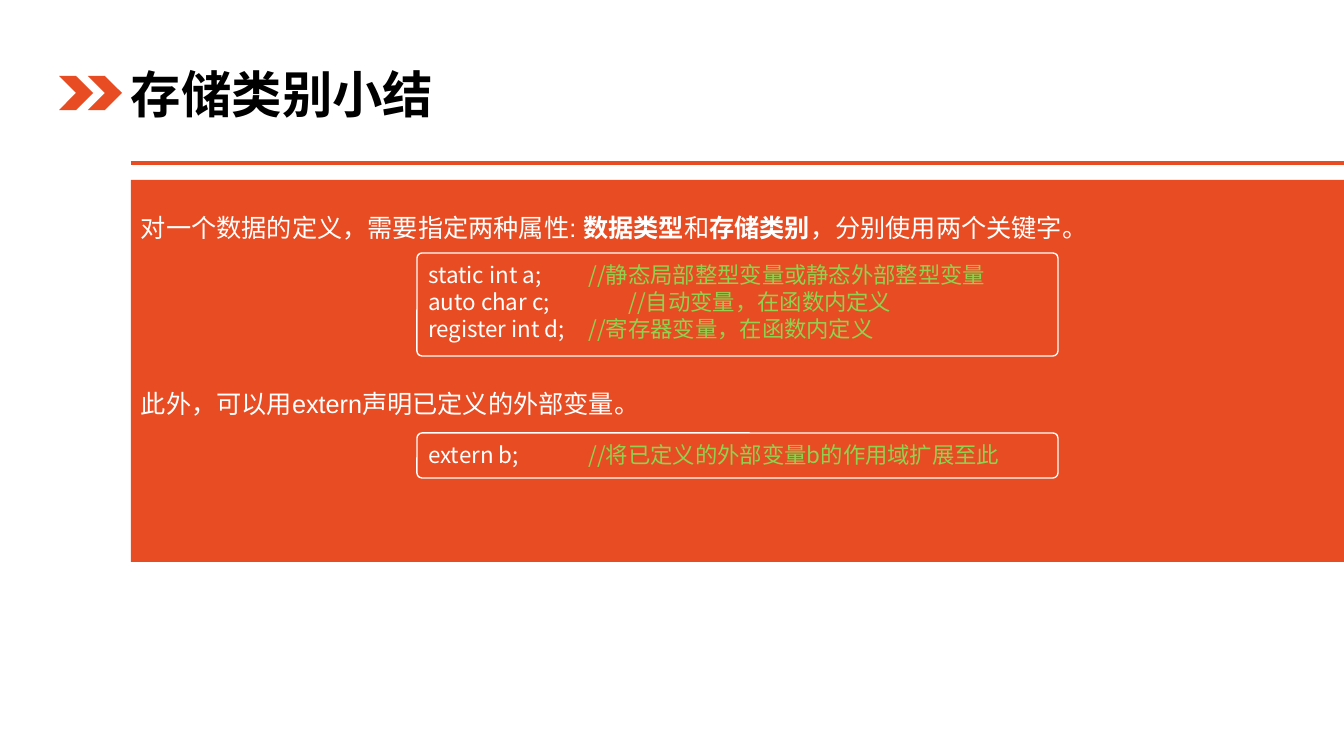
from dataclasses import dataclass

from lxml import etree
from pptx import Presentation
from pptx.dml.color import RGBColor
from pptx.enum.shapes import MSO_CONNECTOR, MSO_SHAPE
from pptx.enum.text import MSO_ANCHOR, PP_ALIGN
from pptx.oxml.ns import qn
from pptx.util import Emu, Pt

RECTANGLE = MSO_SHAPE.RECTANGLE
ROUNDED = MSO_SHAPE.ROUNDED_RECTANGLE
CHEVRON = MSO_SHAPE.CHEVRON
STRAIGHT = MSO_CONNECTOR.STRAIGHT
TOP, MIDDLE = MSO_ANCHOR.TOP, MSO_ANCHOR.MIDDLE
LEFT = PP_ALIGN.LEFT

EMU_PER_PX = 914400 / 100.8
ORANGE, WHITE, BLACK, GREEN = "E84C22", "FFFFFF", "000000", "92D050"
BODY_FONT, CODE_FONT = "Arial", "Noto Sans CJK SC"
SLIDE_WIDTH, SLIDE_HEIGHT = 1344, 756
CONTENT_LEFT = 131
CODE_LEFT, CODE_WIDTH = 417, 641
CODE_RADIUS = 5


@dataclass(frozen=True)
class CodeLine:
    code: str
    comment: str
    tab: int = 160


@dataclass(frozen=True)
class CodeBox:
    top: int
    height: int
    lines: tuple[CodeLine, ...]


CODE_BOXES = (
    CodeBox(253, 103, (
        CodeLine("static int a;", "//静态局部整型变量或静态外部整型变量"),
        CodeLine("auto char c;", "//自动变量，在函数内定义", 200),
        CodeLine("register int d;", "//寄存器变量，在函数内定义"),
    )),
    CodeBox(433, 45, (
        CodeLine("extern b;", "//将已定义的外部变量b的作用域扩展至此"),
    )),
)
STATEMENTS = (
    (("对一个数据的定义，需要指定两种属性: ", False), ("数据类型", True), ("和", False),
     ("存储类别", True), ("，分别使用两个关键字。", False)),
    (("此外，可以用extern声明已定义的外部变量。", False),),
)


def px(length: int) -> Emu:
    """Turn pixels into EMU."""
    return Emu(round(length * EMU_PER_PX))


def color(value: str) -> RGBColor:
    """Turn a hex string into a colour."""
    return RGBColor.from_string(value)


def add_box(slide, kind, left: int, top: int, width: int, height: int,
            fill: str | None = None, line: str | None = None):
    """Add a preset shape with an optional fill and outline."""
    shape = slide.shapes.add_shape(kind, px(left), px(top), px(width), px(height))
    shape.shadow.inherit = False
    if fill:
        shape.fill.solid()
        shape.fill.fore_color.rgb = color(fill)
    else:
        shape.fill.background()
    if line:
        shape.line.color.rgb = color(line)
        shape.line.width = Pt(1)
    else:
        shape.line.fill.background()
    return shape


def set_frame(shape, anchor, top_margin: int):
    """Set wrapping, anchor and top margin, and return the text frame."""
    frame = shape.text_frame
    frame.word_wrap = True
    frame.vertical_anchor = anchor
    frame.margin_top = px(top_margin)
    return frame


def next_paragraph(frame, index: int):
    """Return the first paragraph or a new one, aligned left."""
    paragraph = frame.add_paragraph() if index else frame.paragraphs[0]
    paragraph.alignment = LEFT
    return paragraph


def set_font(paragraph, name: str, size: int, value: str | None = None) -> None:
    """Set the typeface, size and colour of a paragraph."""
    paragraph.font.name = name
    paragraph.font.size = Pt(size)
    if value:
        paragraph.font.color.rgb = color(value)


def add_tab_stop(paragraph, position: int) -> None:
    """Add a left tab stop to a paragraph."""
    properties = paragraph._p.get_or_add_pPr()
    tabs = etree.SubElement(properties, qn("a:tabLst"))
    etree.SubElement(tabs, qn("a:tab"), pos=str(px(position)), algn="l")


def add_header(slide) -> None:
    """Draw the title, its chevrons and the rule below."""
    title = slide.shapes.add_textbox(px(121), px(53), px(599), px(80))
    paragraph = next_paragraph(set_frame(title, MIDDLE, 5), 0)
    paragraph.add_run().text = "存储类别小结"
    set_font(paragraph, CODE_FONT, 36, BLACK)
    paragraph.font.bold = True
    for left in (59, 88):
        add_box(slide, CHEVRON, left, 76, 34, 34, ORANGE)
    rule = slide.shapes.add_connector(
        STRAIGHT, px(CONTENT_LEFT), px(163), px(SLIDE_WIDTH), px(163))
    rule.line.color.rgb = color(ORANGE)
    rule.line.width = Pt(2.25)
    etree.SubElement(rule._element.spPr, qn("a:effectLst"))


def add_panel(slide) -> None:
    """Draw the orange panel with its two statements."""
    panel = add_box(slide, RECTANGLE, CONTENT_LEFT, 180,
                    SLIDE_WIDTH - CONTENT_LEFT, 382, ORANGE)
    frame = set_frame(panel, TOP, 32)
    for index, statement in enumerate(STATEMENTS):
        paragraph = next_paragraph(frame, index)
        if index:
            paragraph.space_before = Pt(104)
        set_font(paragraph, BODY_FONT, 18, WHITE)
        for text, bold in statement:
            run = paragraph.add_run()
            run.text = text
            run.font.bold = bold


def add_code_box(slide, box: CodeBox) -> None:
    """Draw an outlined box of code lines with green comments."""
    shape = add_box(slide, ROUNDED, CODE_LEFT, box.top, CODE_WIDTH, box.height, line=WHITE)
    shape.adjustments[0] = CODE_RADIUS / box.height
    frame = set_frame(shape, TOP, 7)
    for index, line in enumerate(box.lines):
        paragraph = next_paragraph(frame, index)
        add_tab_stop(paragraph, line.tab)
        set_font(paragraph, CODE_FONT, 16)
        for text, value in ((f"{line.code}\t", WHITE), (line.comment, GREEN)):
            run = paragraph.add_run()
            run.text = text
            run.font.color.rgb = color(value)


def main() -> None:
    """Build and save the slide."""
    presentation = Presentation()
    presentation.slide_width = px(SLIDE_WIDTH)
    presentation.slide_height = px(SLIDE_HEIGHT)
    slide = presentation.slides.add_slide(presentation.slide_layouts[6])
    add_panel(slide)
    add_header(slide)
    for box in CODE_BOXES:
        add_code_box(slide, box)
    presentation.save("out.pptx")


if __name__ == "__main__":
    main()
